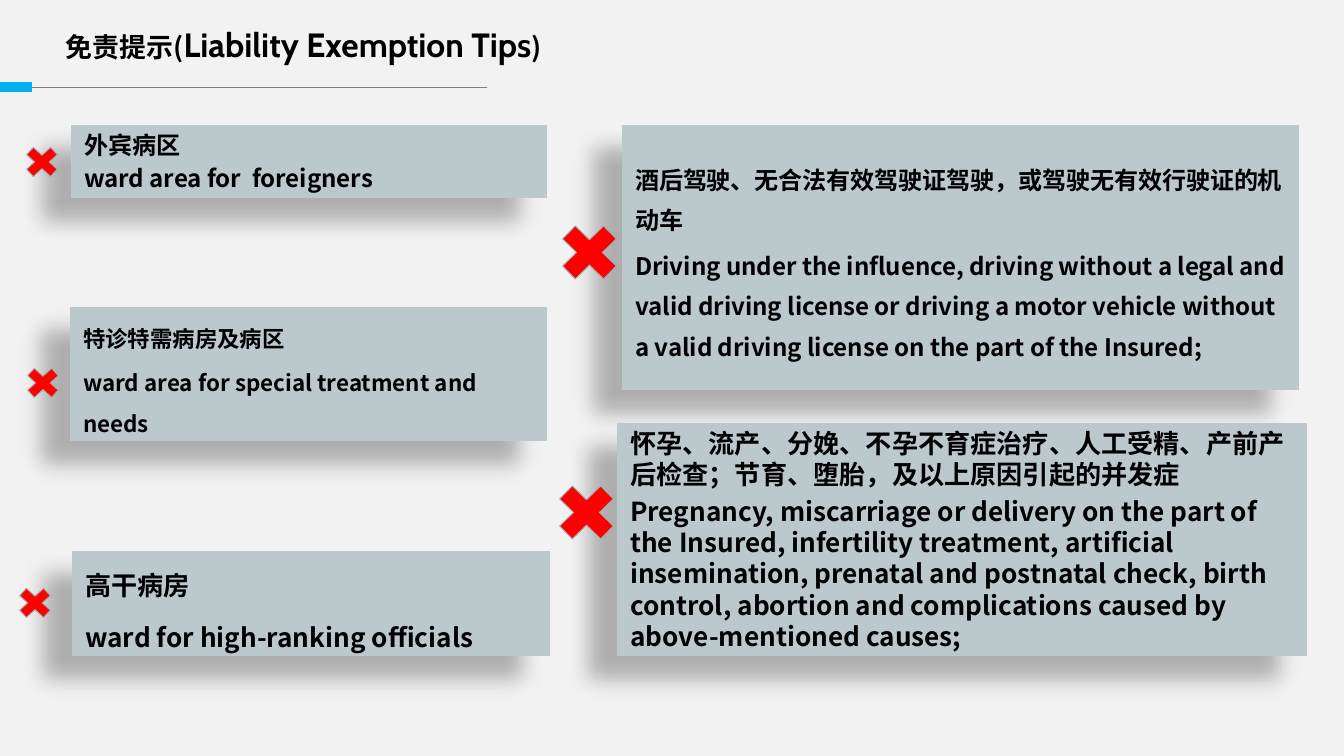
"""Build the liability exemption tips slide."""
from lxml.etree import SubElement
from pptx import Presentation
from pptx.dml.color import RGBColor as Rgb
from pptx.enum.shapes import MSO_CONNECTOR as Connector, MSO_SHAPE as Shape
from pptx.enum.text import MSO_ANCHOR as Anchor, PP_ALIGN as Align
from pptx.oxml.ns import qn
from pptx.util import Pt

PX = 914400 / 134.4
COLORS = {"page": "F2F2F2", "top": "BBC8CC", "bottom": "B8C6CB", "text": "000000",
          "accent": "00B0F0", "rule": "7F7F7F", "cross": "FF0000", "edge": "9BAFB5"}
CJK = "Noto Sans CJK SC"


def emu(*lengths):
    return [round(length * PX) for length in lengths]


def add_span(para, text, size, face=CJK):
    span = para.add_run()
    span.text = text
    for name, value in {"size": Pt(size), "bold": True, "name": face}.items():
        setattr(span.font, name, value)
    span.font.color.rgb = Rgb.from_string(COLORS["text"])
    props = span.font._element
    SubElement(props, qn("a:ea"), typeface=face)
    return props


deck = Presentation()
deck.slide_width, deck.slide_height = emu(1344, 756)
page = deck.slides.add_slide(deck.slide_layouts[6])
page.background.fill.solid()
page.background.fill.fore_color.rgb = Rgb.from_string(COLORS["page"])

exemptions = [
    ((71, 125, 476, 73), 12.9, 1, "外宾病区", "ward area for  foreigners"),
    ((70, 307, 477, 134), 12, 1.5, "特诊特需病房及病区",
     "ward area for special treatment and needs"),
    ((72, 551, 478, 105), 14, 1.5, "高干病房", "ward for high-ranking officials"),
    ((622, 125, 677, 265), 12.9, 1.4,
     "酒后驾驶、无合法有效驾驶证驾驶，或驾驶无有效行驶证的机动车",
     "Driving under the influence, driving without a legal and valid driving license "
     "or driving a motor vehicle without a valid driving license on the part of the Insured;"),
    ((617, 423, 690, 233), 14, 1,
     "怀孕、流产、分娩、不孕不育症治疗、人工受精、产前产后检查；节育、堕胎，及以上原因引起的并发症",
     "Pregnancy, miscarriage or delivery on the part of the Insured, infertility treatment, "
     "artificial insemination, prenatal and postnatal check, birth control, abortion and "
     "complications caused by above-mentioned causes;"),
]
for place, size, spacing, chinese, english in exemptions:
    box = page.shapes.add_shape(Shape.RECTANGLE, *emu(*place))
    box.line.fill.background()
    box.fill.gradient()
    box.fill.gradient_angle = 270
    for stop, key in zip(box.fill.gradient_stops, ("top", "bottom")):
        stop.color.rgb = Rgb.from_string(COLORS[key])
    box.shadow.inherit = False
    effects = box._element.spPr.find(qn("a:effectLst"))
    shadow = SubElement(effects, qn("a:outerShdw"), blurRad=str(Pt(11.8)), dist=str(Pt(19.7)),
                        dir=str(141 * 60000), algn="ctr", rotWithShape="0")
    tint = SubElement(shadow, qn("a:srgbClr"), val=COLORS["text"])
    SubElement(tint, qn("a:alpha"), val="28000")
    frame = box.text_frame
    frame.word_wrap = True
    frame.vertical_anchor = Anchor.MIDDLE
    for index, text in enumerate((chinese, english)):
        para = frame.add_paragraph() if index else frame.paragraphs[0]
        form = {"alignment": Align.LEFT, "line_spacing": Pt(round(size * 1.2 * spacing, 1)),
                "space_before": Pt(round(size * 0.2 * index, 1))}
        for name, value in form.items():
            setattr(para, name, value)
        add_span(para, text, size)

rule = page.shapes.add_connector(Connector.STRAIGHT, *emu(487, 87, 31, 87))
rule.line.width = Pt(0.5)
rule.line.color.rgb = Rgb.from_string(COLORS["rule"])
SubElement(rule._element.spPr, qn("a:effectLst"))

tab = page.shapes.add_shape(Shape.RECTANGLE, *emu(0, 82, 32, 10))
tab.shadow.inherit = False
tab.fill.solid()
tab.fill.fore_color.rgb = Rgb.from_string(COLORS["accent"])
tab.line.fill.background()

small, large = (46, 42), (79, 77)
for left, top, extent in [(19, 141, small), (12, 582, small), (20, 362, small),
                          (550, 214, large), (547, 474, large)]:
    cross = page.shapes.add_shape(Shape.MATH_MULTIPLY, *emu(left, top, *extent))
    cross.shadow.inherit = False
    cross.fill.solid()
    cross.fill.fore_color.rgb = Rgb.from_string(COLORS["cross"])
    cross.line.width = Pt(0.5)
    cross.line.color.rgb = Rgb.from_string(COLORS["edge"])

title = page.shapes.add_textbox(*emu(44, 17, 672, 59))
title.text_frame.word_wrap = True
title.text_frame.margin_left = emu(22)[0]
for text, face, caps in [("免责提示(", CJK, "small"), ("Liability Exemption Tips", "Cabin", "none"),
                         (")", CJK, "small")]:
    add_span(title.text_frame.paragraphs[0], text, 18, face).set("cap", caps)

deck.save("out.pptx")
